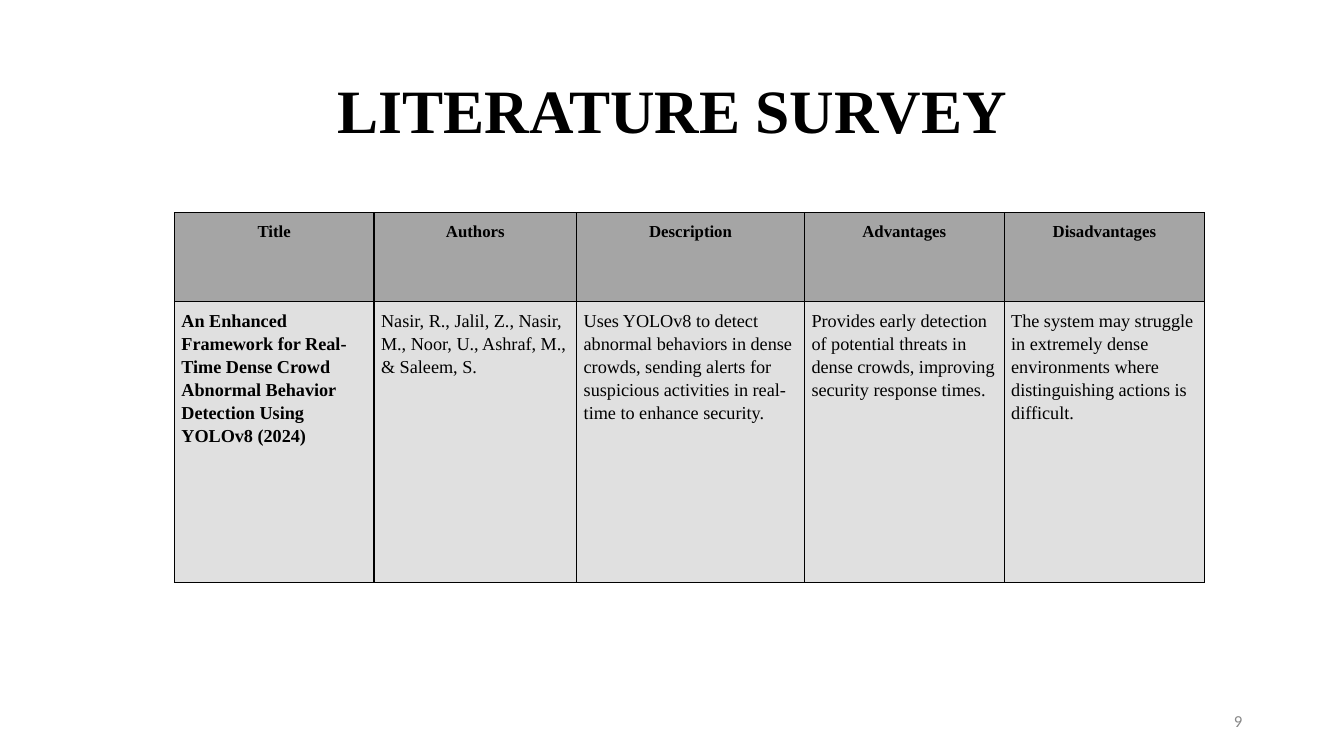
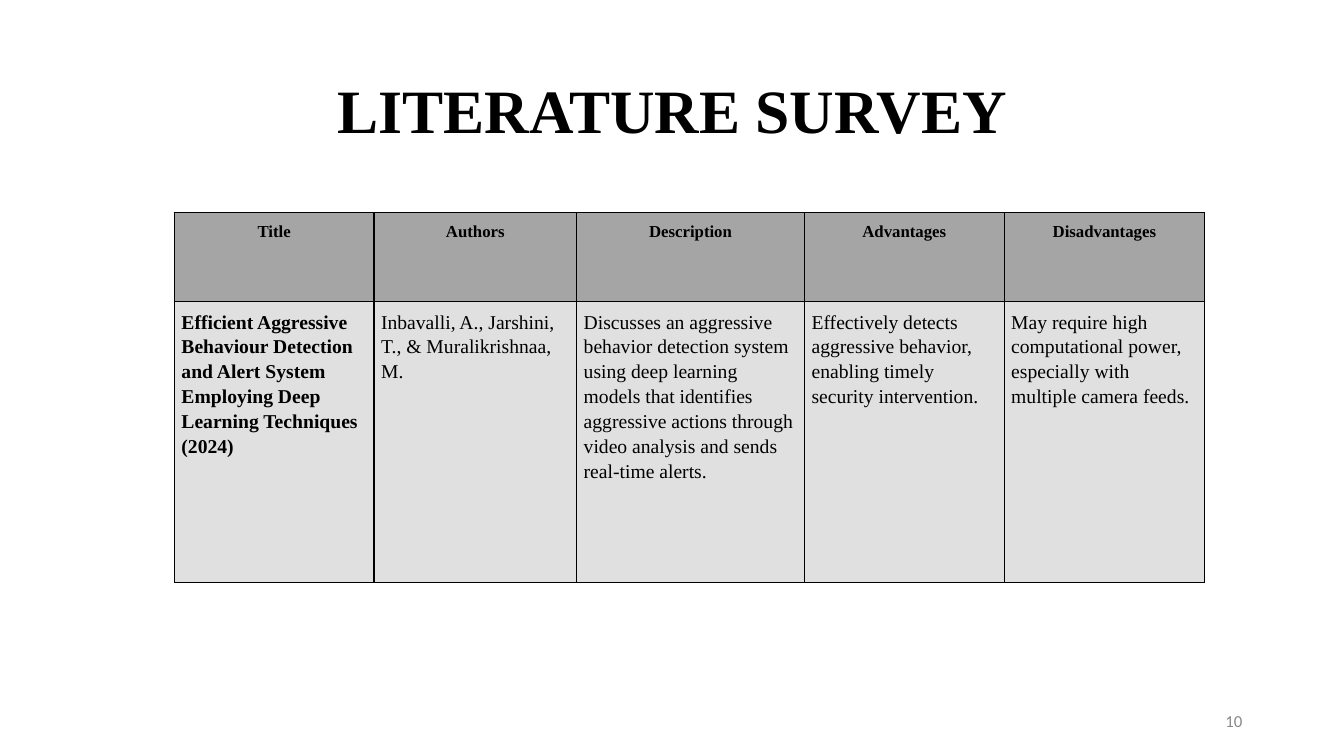
from lxml import etree
from pptx import Presentation
from pptx import util as u
from pptx.dml.color import RGBColor
from pptx.enum import text
from pptx.oxml import ns

BLACK = RGBColor(0x00, 0x00, 0x00)
HEADER_GREY = RGBColor(0xA5, 0xA5, 0xA5)
BODY_GREY = RGBColor(0xE0, 0xE0, 0xE0)
NUMBER_GREY = RGBColor(0x88, 0x88, 0x88)
SERIF = "Times New Roman"
SANS = "Calibri"

TITLE = "LITERATURE SURVEY"
HEADINGS = ("Title", "Authors", "Description", "Advantages", "Disadvantages")
COLUMN_WIDTHS = (1.98, 2.01, 2.26, 1.98, 1.99)
ROW_HEIGHTS = (0.88, 2.79)
CELL_MARGIN = u.Inches(0.07)
TITLE_ONLY_LAYOUT = 5

SURVEYS = (
    (9, 13, (
        "An Enhanced Framework for Real-Time Dense Crowd Abnormal Behavior "
        "Detection Using YOLOv8 (2024)",
        "Nasir, R., Jalil, Z., Nasir, M., Noor, U., Ashraf, M., & Saleem, S.",
        "Uses YOLOv8 to detect abnormal behaviors in dense crowds, sending "
        "alerts for suspicious activities in real-time to enhance security.",
        "Provides early detection of potential threats in dense crowds, "
        "improving security response times.",
        "The system may struggle in extremely dense environments where "
        "distinguishing actions is difficult.",
    )),
    (10, 14, (
        "Efficient Aggressive Behaviour Detection and Alert System Employing "
        "Deep Learning Techniques (2024)",
        "Inbavalli, A., Jarshini, T., & Muralikrishnaa, M.",
        "Discusses an aggressive behavior detection system using deep learning "
        "models that identifies aggressive actions through video analysis and "
        "sends real-time alerts.",
        "Effectively detects aggressive behavior, enabling timely security "
        "intervention.",
        "May require high computational power, especially with multiple "
        "camera feeds.",
    )),
)


def write(frame, words, size, align, spacing=1.0, font=SERIF, color=BLACK, bold=False):
    """Put one formatted run into the first paragraph of a text frame."""
    paragraph = frame.paragraphs[0]
    paragraph.alignment = align
    paragraph.line_spacing = spacing
    run = paragraph.add_run()
    run.text = words
    run.font.name = font
    run.font.size = u.Pt(size)
    run.font.bold = bold
    run.font.color.rgb = color


def add_title(slide):
    """Place and fill the title placeholder."""
    title = slide.shapes.title
    title.left, title.top = u.Inches(0.92), u.Inches(0.4)
    title.width, title.height = u.Inches(11.5), u.Inches(1.45)
    frame = title.text_frame
    frame.auto_size = text.MSO_AUTO_SIZE.NONE
    frame.vertical_anchor = text.MSO_ANCHOR.MIDDLE
    write(frame, TITLE, 44, text.PP_ALIGN.CENTER, spacing=0.9, bold=True)


def add_page_number(slide, number):
    """Add the page number at the lower right."""
    footer = slide.shapes.add_textbox(
        u.Inches(9.42), u.Inches(6.95), u.Inches(3), u.Inches(0.4))
    frame = footer.text_frame
    frame.word_wrap = True
    frame.vertical_anchor = text.MSO_ANCHOR.MIDDLE
    write(frame, str(number), 12, text.PP_ALIGN.RIGHT, font=SANS, color=NUMBER_GREY)


def style_cell(cell, fill):
    """Give a cell its margins, black borders and fill."""
    cell.margin_left = cell.margin_right = CELL_MARGIN
    cell.margin_top = cell.margin_bottom = CELL_MARGIN
    properties = cell._tc.get_or_add_tcPr()
    for side in ("a:lnL", "a:lnR", "a:lnT", "a:lnB"):
        line = etree.SubElement(properties, ns.qn(side), w=str(u.Pt(1)))
        solid = etree.SubElement(line, ns.qn("a:solidFill"))
        etree.SubElement(solid, ns.qn("a:srgbClr"), val=str(BLACK))
    cell.fill.solid()
    cell.fill.fore_color.rgb = fill


def add_survey_table(slide, entries, body_size):
    """Add the table with a heading row and one surveyed paper."""
    table = slide.shapes.add_table(
        len(ROW_HEIGHTS), len(HEADINGS), u.Inches(1.73), u.Inches(2.11),
        u.Inches(sum(COLUMN_WIDTHS)), u.Inches(sum(ROW_HEIGHTS))).table
    for row, height in zip(table.rows, ROW_HEIGHTS):
        row.height = u.Inches(height)
    for index, width in enumerate(COLUMN_WIDTHS):
        table.columns[index].width = u.Inches(width)
        heading, entry = table.cell(0, index), table.cell(1, index)
        style_cell(heading, HEADER_GREY)
        write(heading.text_frame, HEADINGS[index], 12, text.PP_ALIGN.CENTER,
              spacing=1.15, bold=True)
        style_cell(entry, BODY_GREY)
        write(entry.text_frame, entries[index], body_size, text.PP_ALIGN.LEFT,
              spacing=1.15, bold=index == 0)


def main():
    """Build the survey slides and save them."""
    deck = Presentation()
    deck.slide_width, deck.slide_height = u.Inches(13.33), u.Inches(7.5)
    for number, body_size, entries in SURVEYS:
        slide = deck.slides.add_slide(deck.slide_layouts[TITLE_ONLY_LAYOUT])
        add_title(slide)
        add_page_number(slide, number)
        add_survey_table(slide, entries, body_size)
    deck.save("out.pptx")


if __name__ == "__main__":
    main()
